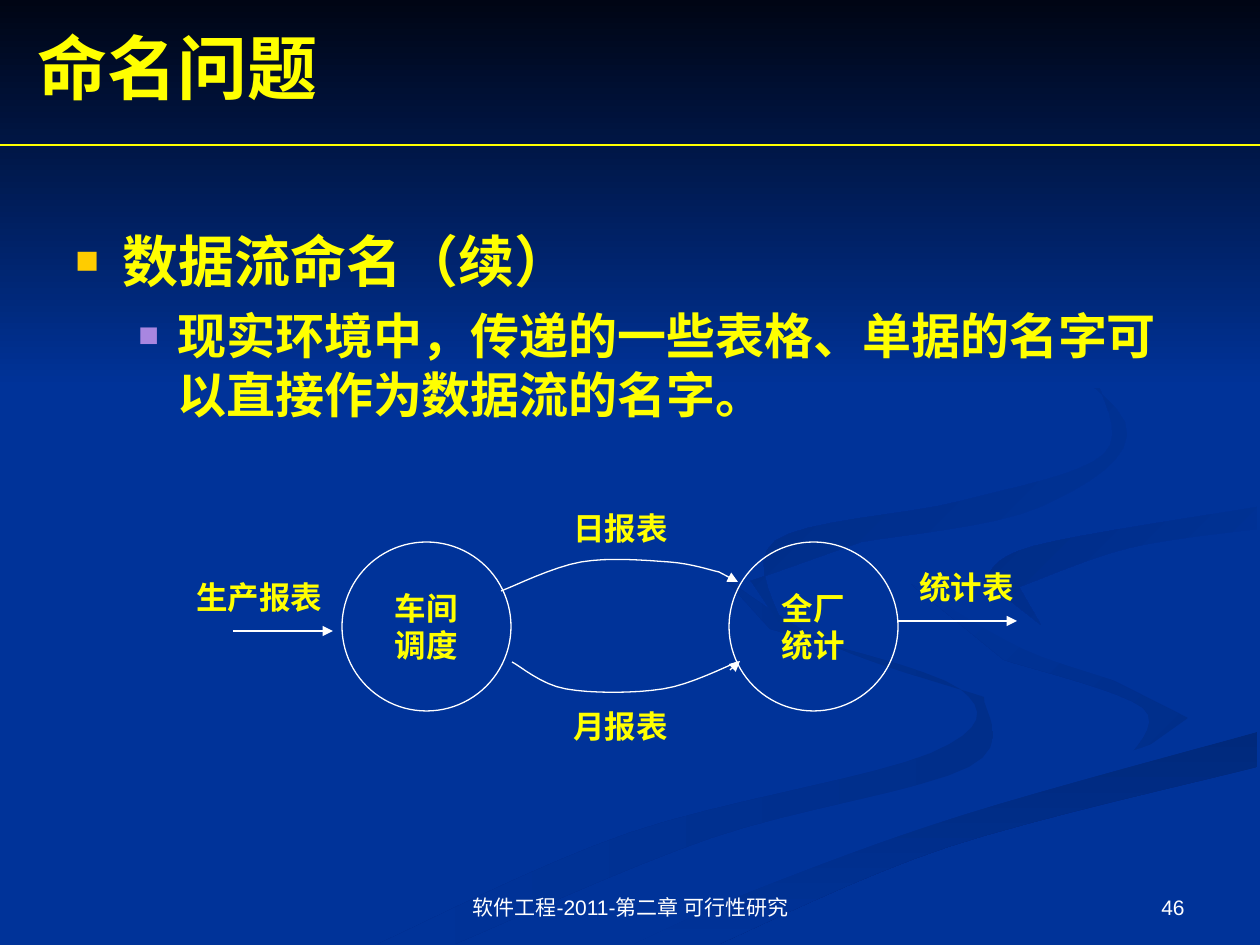
from lxml import etree
from pptx import Presentation
from pptx.dml.color import RGBColor
from pptx.enum.shapes import MSO_CONNECTOR, MSO_SHAPE
from pptx.enum.text import MSO_ANCHOR, PP_ALIGN
from pptx.oxml.ns import qn
from pptx.util import Emu, Pt

STRAIGHT = MSO_CONNECTOR.STRAIGHT
OVAL, RECTANGLE = MSO_SHAPE.OVAL, MSO_SHAPE.RECTANGLE
TOP, MIDDLE, BOTTOM = MSO_ANCHOR.TOP, MSO_ANCHOR.MIDDLE, MSO_ANCHOR.BOTTOM
LEFT, CENTER, RIGHT = PP_ALIGN.LEFT, PP_ALIGN.CENTER, PP_ALIGN.RIGHT

PX_PER_INCH = 126
WIDTH, HEIGHT = 1260, 945
COLORS = {
    "ground": "003399", "night": "000514", "yellow": "FFFF00", "white": "FFFFFF",
    "gold": "FFCC00", "violet": "A886E0", "shade1": "002E8A", "shade2": "00297C",
    "shade3": "002C85", "shade4": "002B81",
}

# Edge shared by the two lowest ribbons.
LOW_EDGE = [(1257, 732), (963, 815), (755, 890), (634, 944)]

# Each ribbon: fill (one colour, or start, end and clockwise angle), then its edges.
RIBBONS = [
    (("shade1", "ground", 180), [
        [(984, 697), (833, 646), (724, 578)],
        [(770, 629), (960, 689), (931, 753), (629, 833), (378, 944)],
        [(455, 944), (711, 838), (969, 767), (984, 697)]]),
    (("shade1", "ground", 225), [
        [(1188, 718), (1071, 660), (912, 585)],
        [(1004, 660), (1143, 708), (1126, 762)]]),
    (("shade2", "ground", 90), [
        [(719, 944), (948, 847), (1257, 767)],
        LOW_EDGE]),
    (("ground",), [
        [(914, 585), (1023, 649), (1188, 718), (1024, 788), (601, 944)],
        LOW_EDGE[::-1],
        [(1259, 678), (1029, 620), (1008, 557), (1259, 507)],
        [(1259, 488), (993, 532), (914, 585)]]),
    (("ground", "shade3", 225), [
        [(984, 580), (1041, 625)],
        [(1019, 587), (1129, 548), (1257, 529)],
        [(1257, 507), (1034, 546), (984, 580)]]),
    (("ground", "shade4", 225), [
        [(861, 542), (1040, 507), (1125, 422), (960, 294)],
        [(1096, 377), (1104, 454), (961, 501), (775, 541), (784, 630)],
        [(751, 581), (861, 542)]]),
]

PROCESSES = [(342, ["车间", "调度"]), (729, ["全厂", "统计"])]
FLOW_LABELS = [("生产报表", 184, 572), ("统计表", 907, 562),
               ("日报表", 561, 503), ("月报表", 561, 701)]
FLOW_CURVES = [
    [(501, 591), (581, 562), (669, 562), (719, 572)],
    [(512, 662), (566, 689), (663, 689), (738, 662)],
]
FLOW_ARROWS = [((719, 572), (738, 582)), ((233, 631), (333, 631)),
               ((898, 621), (1017, 621)), ((730, 670), (740, 661))]


def px(length):
    return Emu(round(length * 914400 / PX_PER_INCH))


def rgb(color):
    return RGBColor.from_string(COLORS[color])


def smooth(knots, steps=8):
    """Points of a Catmull-Rom curve through the knots."""
    padded = [knots[0], *knots, knots[-1]]
    points = [knots[0]]
    for a, b, c, d in zip(padded, padded[1:], padded[2:], padded[3:]):
        for step in range(1, steps + 1):
            t = step / steps
            points.append(tuple(
                (2 * q + (r - p) * t + (2 * p - 5 * q + 4 * r - s) * t ** 2
                 + (3 * q - p - 3 * r + s) * t ** 3) / 2
                for p, q, r, s in zip(a, b, c, d)))
    return points


def paint(shape, fill=None, line=None):
    """Fill with nothing, one colour, or a gradient of start, end and angle."""
    shape.shadow.inherit = False
    if not fill:
        shape.fill.background()
    elif len(fill) == 1:
        shape.fill.solid()
        shape.fill.fore_color.rgb = rgb(fill[0])
    else:
        *stop_colors, angle = fill
        shape.fill.gradient()
        shape.fill.gradient_angle = 360 - angle
        for stop, color in zip(shape.fill.gradient_stops, stop_colors):
            stop.color.rgb = rgb(color)
    if line:
        shape.line.color.rgb = rgb(line)
        shape.line.width = Pt(0.75)
    else:
        shape.line.fill.background()


def add_outline(slide, edges, closed, **paint_format):
    points = [(px(x), px(y)) for edge in edges for x, y in smooth(edge)]
    builder = slide.shapes.build_freeform(*points[0], scale=1.0)
    builder.add_line_segments(points[1:], close=closed)
    paint(builder.convert_to_shape(), **paint_format)


def add_line(slide, start, end, color, arrow=False):
    line = slide.shapes.add_connector(STRAIGHT, *map(px, (*start, *end)))
    line.line.color.rgb = rgb(color)
    line.line.width = Pt(0.75)
    if arrow:
        outline = line._element.spPr.find(qn("a:ln"))
        etree.SubElement(outline, qn("a:tailEnd"), type="triangle")
    etree.SubElement(line._element.spPr, qn("a:effectLst"))


def write(frame, lines, sizes=(18, 18), color="yellow", font="Times New Roman",
          bold=True, align=LEFT, anchor=TOP, wrap=True):
    frame.word_wrap = wrap
    frame.vertical_anchor = anchor
    for index, (line, size) in enumerate(zip(lines, sizes)):
        paragraph = frame.paragraphs[0] if index == 0 else frame.add_paragraph()
        paragraph.alignment = align
        run = paragraph.add_run()
        run.text = line
        run.font.size, run.font.bold, run.font.name = Pt(size), bold, font
        run.font.color.rgb = rgb(color)


def add_text(slide, box, lines, **text_format):
    frame = slide.shapes.add_textbox(*map(px, box)).text_frame
    write(frame, lines, **text_format)
    return frame


def add_bullet(paragraph, color, margin, hanging, space_before):
    paragraph.space_before = Pt(space_before)
    properties = paragraph._p.get_or_add_pPr()
    properties.set("marL", str(px(margin)))
    properties.set("indent", str(-px(hanging)))
    bullet_color = etree.SubElement(properties, qn("a:buClr"))
    etree.SubElement(bullet_color, qn("a:srgbClr"), val=COLORS[color])
    etree.SubElement(properties, qn("a:buSzPct"), val="70000")
    etree.SubElement(properties, qn("a:buFont"), typeface="Arial")
    etree.SubElement(properties, qn("a:buChar"), char="■")


def add_backdrop(slide):
    slide.background.fill.solid()
    slide.background.fill.fore_color.rgb = rgb("ground")
    for fill, edges in RIBBONS:
        add_outline(slide, edges, True, fill=fill)
    band = slide.shapes.add_shape(RECTANGLE, 0, 0, px(WIDTH), px(388))
    paint(band, fill=("night", "ground", 90))


def add_body(slide):
    frame = add_text(slide, (63, 220, 1134, 252), [
        "数据流命名（续）",
        "现实环境中，传递的一些表格、单据的名字可以直接作为数据流的名字。",
    ], sizes=(32, 28))
    topic, detail = frame.paragraphs
    detail.level = 1
    add_bullet(topic, "gold", 47, 47, 8)
    add_bullet(detail, "violet", 102, 39, 7)


def add_flow_diagram(slide):
    for left, name in PROCESSES:
        process = slide.shapes.add_shape(OVAL, *map(px, (left, 542, 169, 169)))
        paint(process, line="white")
        write(process.text_frame, name, align=CENTER, anchor=MIDDLE, wrap=False)
    for curve in FLOW_CURVES:
        add_outline(slide, [curve], False, line="white")
    for start, end in FLOW_ARROWS:
        add_line(slide, start, end, "white", arrow=True)
    for label, left, top in FLOW_LABELS:
        width = 25 + 32 * len(label)
        add_text(slide, (left, top, width, 50), [label], wrap=False)


def main():
    deck = Presentation()
    deck.slide_width, deck.slide_height = px(WIDTH), px(HEIGHT)
    slide = deck.slides.add_slide(deck.slide_layouts[6])
    add_backdrop(slide)
    add_body(slide)
    add_text(slide, (25, 18, 1134, 97), ["命名问题"], sizes=(40,), anchor=MIDDLE)
    add_line(slide, (0, 145), (WIDTH, 145), "yellow")
    add_flow_diagram(slide)
    footer = {"sizes": (12,), "color": "white", "font": "Arial", "bold": False,
              "anchor": BOTTOM}
    add_text(slide, (431, 861, 399, 65), ["软件工程-2011-第二章 可行性研究"],
             align=CENTER, **footer)
    add_text(slide, (903, 861, 294, 65), ["46"], align=RIGHT, **footer)
    deck.save("out.pptx")


if __name__ == "__main__":
    main()
